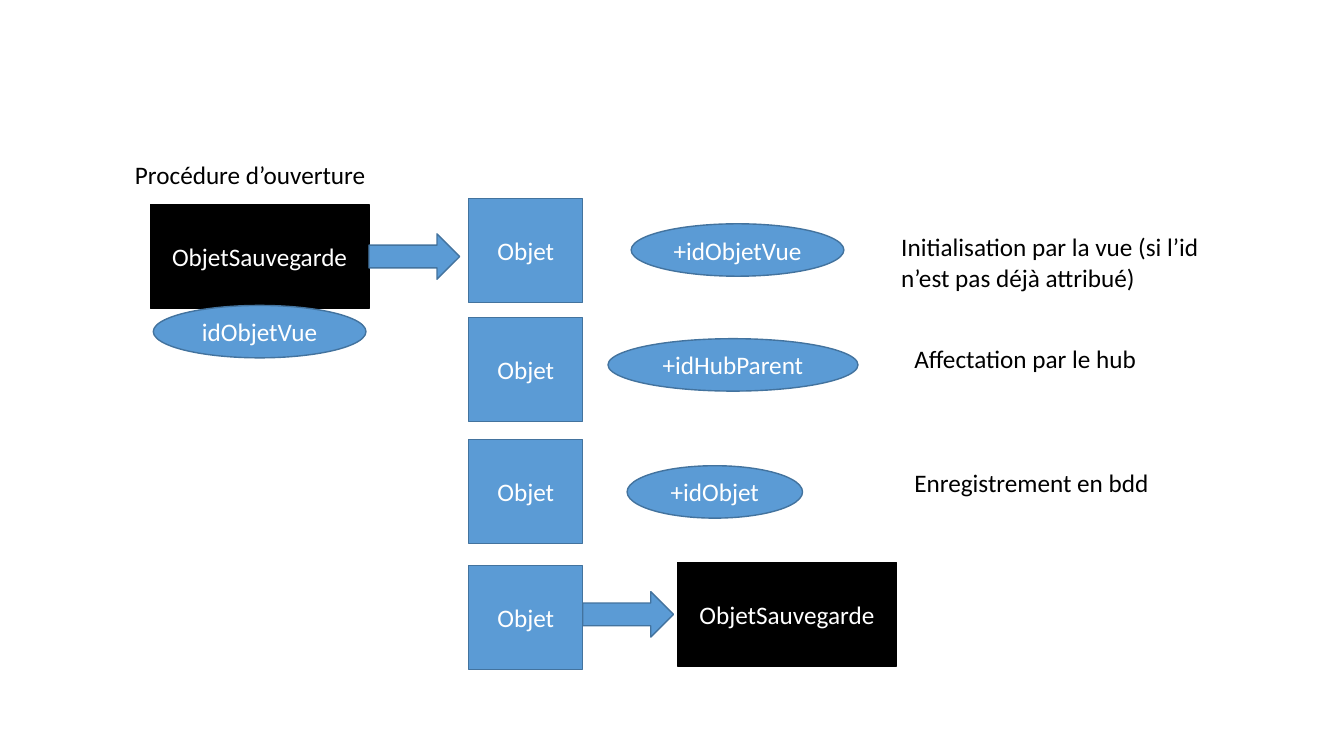
from pptx import Presentation
from pptx.dml.color import RGBColor
from pptx.enum.shapes import MSO_SHAPE
from pptx.enum.text import MSO_ANCHOR, MSO_AUTO_SIZE, PP_ALIGN
from pptx.util import Inches, Pt

COLORS = {
    "blue": "5B9BD5",
    "outline": "43739E",
    "black": "000000",
    "white": "FFFFFF",
}
FONT = "Calibri"

# Grid, in inches
ROWS = (1.97, 3.15, 4.36, 5.61)
OBJECT_LEFT = 4.65
OBJECT_WIDTH = 1.13
BOX_HEIGHT = 1.03
SAVED_WIDTH = 2.17
ID_HEIGHT = 0.52
ARROW_SIZE = (0.9, 0.45)
NOTE_WIDTH = 2.81

# Row, label, left, width and drop below the row's top
ID_LABELS = (
    (0, "+idObjetVue", 6.26, 2.11, 0.25),
    (1, "+idHubParent", 6.03, 2.48, 0.21),
    (2, "+idObjet", 6.22, 1.74, 0.26),
    (0, "idObjetVue", 1.52, 2.11, 1.06),
)
# Row, text, left, width, height and drop below the row's top
NOTES = (
    (0, "Initialisation par la vue (si l’id n’est pas déjà attribué)",
     8.84, 3.32, 0.71, 0.28),
    (1, "Affectation par le hub", 8.97, NOTE_WIDTH, 0.4, 0.21),
    (2, "Enregistrement en bdd", 8.97, NOTE_WIDTH, 0.4, 0.23),
    (0, "Procédure d’ouverture", 1.24, NOTE_WIDTH, 0.4, -0.44),
)


def rgb(name):
    return RGBColor.from_string(COLORS[name])


def add_span(para, text, color):
    span = para.add_run()
    span.text = text
    span.font.name = FONT
    span.font.size = Pt(18)
    span.font.color.rgb = rgb(color)


def add_block(slide, kind, left, top, width, height, text="",
              fill="blue", line="outline"):
    """Draw a filled preset shape with an optional centred label."""
    block = slide.shapes.add_shape(
        kind, Inches(left), Inches(top), Inches(width), Inches(height))
    block.shadow.inherit = False
    block.fill.solid()
    block.fill.fore_color.rgb = rgb(fill)
    block.line.color.rgb = rgb(line)
    block.line.width = Pt(1)
    if text:
        frame = block.text_frame
        frame.word_wrap = False
        frame.vertical_anchor = MSO_ANCHOR.MIDDLE
        para = frame.paragraphs[0]
        para.alignment = PP_ALIGN.CENTER
        add_span(para, text, "white")


def add_object(slide, top):
    add_block(slide, MSO_SHAPE.RECTANGLE, OBJECT_LEFT, top,
              OBJECT_WIDTH, BOX_HEIGHT, "Objet")


def add_saved_object(slide, left, top):
    add_block(slide, MSO_SHAPE.RECTANGLE, left, top, SAVED_WIDTH, BOX_HEIGHT,
              "ObjetSauvegarde", "black", "black")


def add_arrow(slide, left, top):
    add_block(slide, MSO_SHAPE.RIGHT_ARROW, left, top, *ARROW_SIZE)


def add_note(slide, text, left, top, width, height):
    box = slide.shapes.add_textbox(
        Inches(left), Inches(top), Inches(width), Inches(height))
    frame = box.text_frame
    frame.word_wrap = True
    frame.auto_size = MSO_AUTO_SIZE.SHAPE_TO_FIT_TEXT
    add_span(frame.paragraphs[0], text, "black")


def main():
    deck = Presentation()
    deck.slide_width = Inches(13.33)
    deck.slide_height = Inches(7.5)
    slide = deck.slides.add_slide(deck.slide_layouts[6])

    for top in ROWS:
        add_object(slide, top)

    add_saved_object(slide, 1.49, ROWS[0] + 0.06)
    add_arrow(slide, 1.49 + SAVED_WIDTH, ROWS[0] + 0.35)
    add_saved_object(slide, 6.72, ROWS[3] - 0.03)
    add_arrow(slide, OBJECT_LEFT + OBJECT_WIDTH, ROWS[3] + 0.26)

    for row, text, left, width, drop in ID_LABELS:
        add_block(slide, MSO_SHAPE.OVAL, left, ROWS[row] + drop,
                  width, ID_HEIGHT, text)
    for row, text, left, width, height, drop in NOTES:
        add_note(slide, text, left, ROWS[row] + drop, width, height)

    deck.save("out.pptx")


if __name__ == "__main__":
    main()
